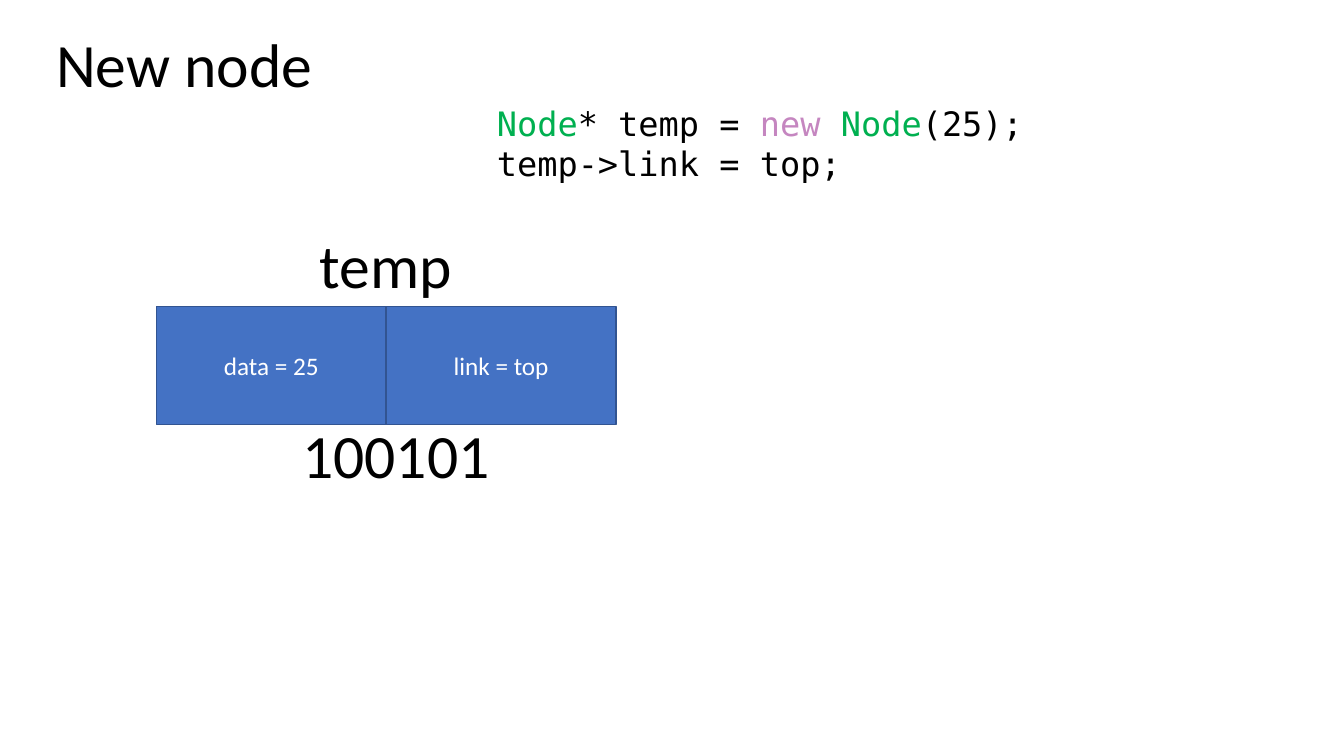
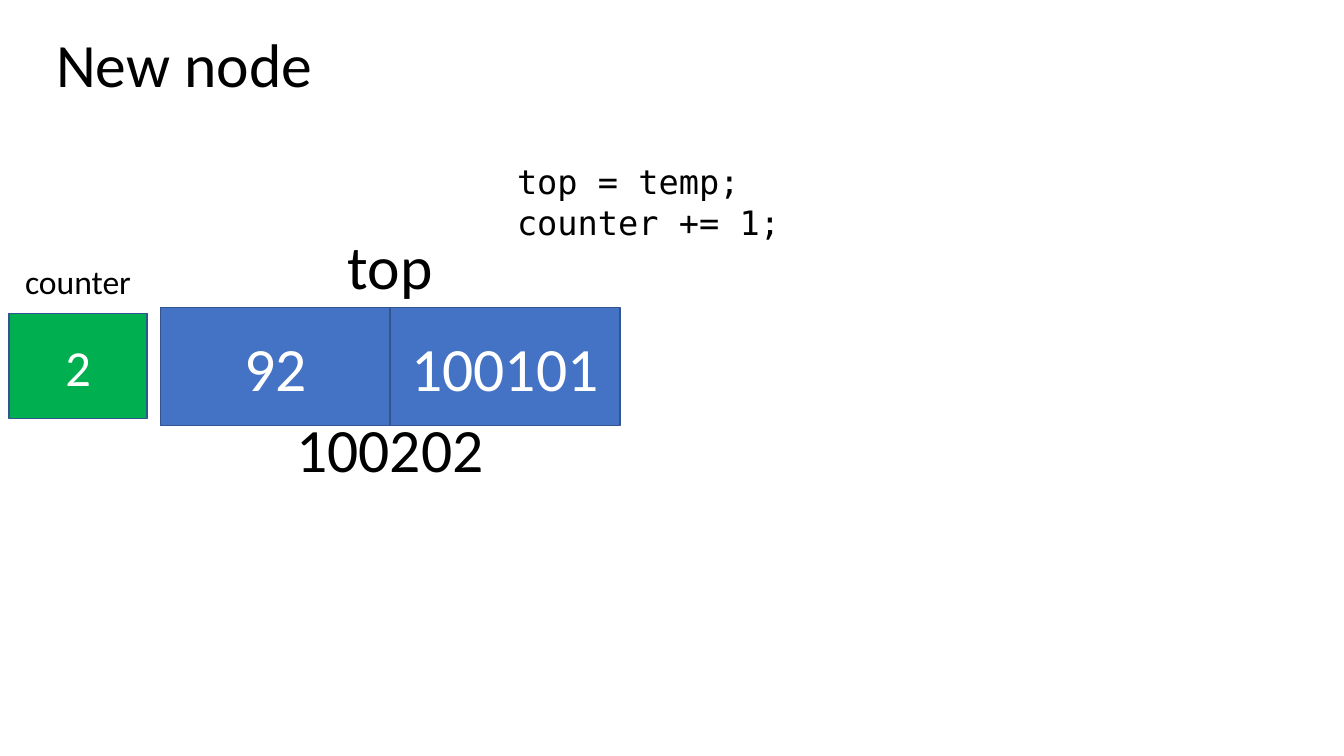
from pptx import Presentation
from pptx.dml.color import RGBColor
from pptx.enum.shapes import MSO_SHAPE
from pptx.enum.text import MSO_ANCHOR, MSO_AUTO_SIZE, PP_ALIGN
from pptx.util import Inches, Pt

COLORS = {"text": "000000", "white": "FFFFFF", "cell": "4472C4",
          "border": "325491", "green": "00B050", "keyword": "C586C0"}
FONT, CODE_FONT = "Calibri", "DejaVu Sans Mono"
CELL_W, CELL_H = 2.28, 1.17

prs = Presentation()
prs.slide_width, prs.slide_height = Inches(13.33), Inches(7.5)


def add_text(s, box, lines, size=44, font=FONT, wrap=True):
    """Each line is a list of (text, color name) runs."""
    tf = s.shapes.add_textbox(*map(Inches, box)).text_frame
    tf.word_wrap = wrap
    tf.auto_size = MSO_AUTO_SIZE.SHAPE_TO_FIT_TEXT
    p = tf.paragraphs[0]
    p.font.size, p.font.name = Pt(size), font
    for i, line in enumerate(lines):
        if i:
            p.add_line_break()
        for text, color in line:
            r = p.add_run()
            r.text = text
            r.font.size, r.font.name = Pt(size), font
            r.font.color.rgb = RGBColor.from_string(COLORS[color])


def add_cell(s, box, text, size, fill="cell"):
    sp = s.shapes.add_shape(MSO_SHAPE.RECTANGLE, *map(Inches, box))
    sp.shadow.inherit = False
    sp.fill.solid()
    sp.fill.fore_color.rgb = RGBColor.from_string(COLORS[fill])
    sp.line.color.rgb = RGBColor.from_string(COLORS["border"])
    sp.line.width = Pt(1)
    tf = sp.text_frame
    tf.word_wrap = True
    tf.vertical_anchor = MSO_ANCHOR.MIDDLE
    p = tf.paragraphs[0]
    p.text = text
    p.alignment = PP_ALIGN.CENTER
    p.font.size, p.font.name = Pt(size), FONT
    p.font.color.rgb = RGBColor.from_string(COLORS["white"])


# Content of each slide: code, node cells, pointer name and address
slides = [
    {"code_at": (4.83, 0.97),
     "code": [[("Node", "green"), ("* temp = ", "text"), ("new ", "keyword"),
               ("Node", "green"), ("(25);", "text")],
              [("temp->link = top;", "text")]],
     "node_at": (1.55, 3.04), "cells": ["data = 25", "link = top"], "cell_size": 18,
     "name": ("temp", (3.07, 2.2, 1.53, 0.84)),
     "address": ("100101", (2.9, 4.09, 2.07, 0.84))},
    {"code_at": (5.03, 1.55),
     "code": [[("top = temp;", "text")], [("counter += 1;", "text")]],
     "node_at": (1.59, 3.05), "cells": ["92", "100101"], "cell_size": 44,
     "name": ("top", (3.35, 2.21, 1.05, 0.84)),
     "address": ("100202", (2.84, 4.03, 2.07, 0.84)),
     "counter": "2"},
]

for content in slides:
    s = prs.slides.add_slide(prs.slide_layouts[6])

    # Title and code
    add_text(s, (0.46, 0.21, 2.77, 0.84), [[("New node", "text")]])
    add_text(s, (*content["code_at"], 5.8, 0.91), content["code"], 24, CODE_FONT)

    # Counter
    if "counter" in content:
        add_cell(s, (0.09, 3.11, 1.37, 1.04), content["counter"], 36, "green")
        add_text(s, (0.15, 2.54, 2.17, 0.5), [[("counter", "text")]], 24)

    # Node with its two cells
    left, top = content["node_at"]
    for i, text in enumerate(content["cells"]):
        add_cell(s, (left + i * CELL_W, top, CELL_W, CELL_H), text, content["cell_size"])

    # Pointer name above, address below
    for label, box in (content["name"], content["address"]):
        add_text(s, box, [[(label, "text")]], wrap=False)

prs.save("out.pptx")
